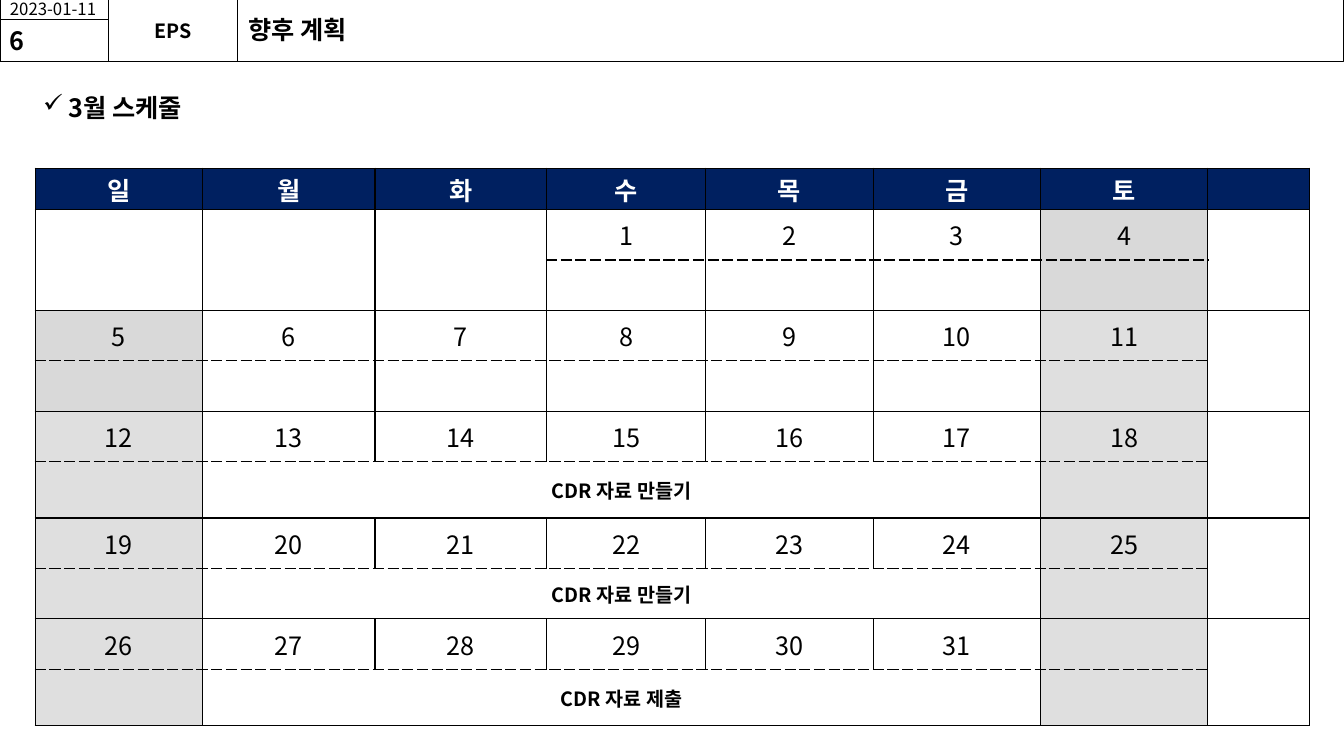
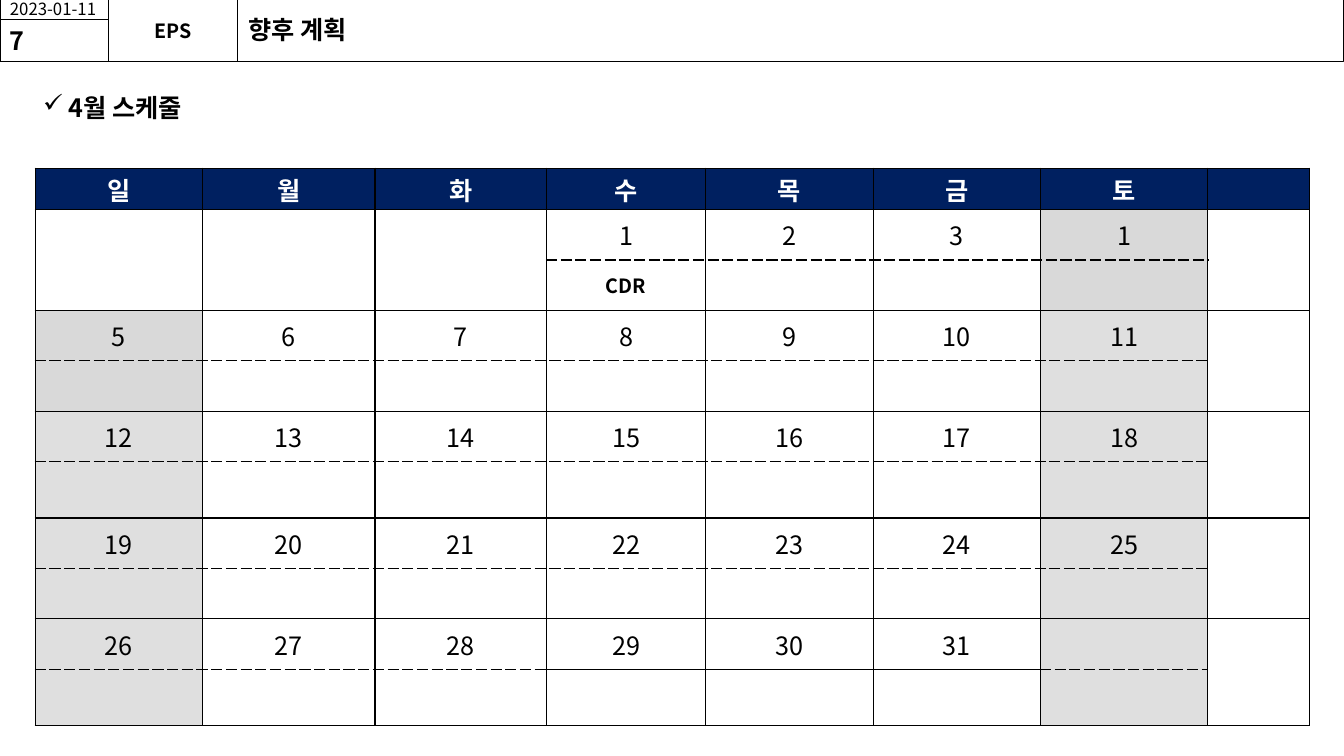
import pptx
import pptx.dml.color
import pptx.enum.shapes
import pptx.enum.text
import pptx.oxml
import pptx.oxml.ns
import pptx.util
from pptx.util import Inches

FONT = "Noto Sans CJK KR"
BLACK = "000000"
WHITE = "FFFFFF"
NAVY = "002060"
LIGHT_GRAY = "D9D9D9"
PALE_GRAY = "DFDFDF"

WEEKDAYS = ["일", "월", "화", "수", "목", "금", "토", ""]
SUNDAY, WEDNESDAY, SATURDAY, REMARKS = 0, 3, 6, 7
WEEK_COUNT = 5
LAST_DAY = 31
COLUMN_WIDTHS = [1.66, 1.71, 1.7, 1.58, 1.66, 1.66, 1.66, 1.01]
HEADER_HEIGHT = 0.41
DATE_HEIGHT = 0.5
NOTE_HEIGHTS = [0.5, 0.5, 0.56, 0.5, 0.56]


def color(value):
    return pptx.dml.color.RGBColor.from_string(value)


def place(shape, left, top, width, height):
    shape.left, shape.top = Inches(left), Inches(top)
    shape.width, shape.height = Inches(width), Inches(height)


def format_paragraph(paragraph, size, bold=False, centered=False, font_color=BLACK):
    alignments = pptx.enum.text.PP_ALIGN
    paragraph.alignment = alignments.CENTER if centered else alignments.LEFT
    font = paragraph.font
    font.name = FONT
    font.size = pptx.util.Pt(size)
    font.bold = bold
    font.color.rgb = color(font_color)
    east_asian = pptx.oxml.parse_xml(
        f'<a:ea {pptx.oxml.ns.nsdecls("a")} typeface="{FONT}"/>'
    )
    font._element.find(pptx.oxml.ns.qn("a:latin")).addnext(east_asian)


def add_header_box(slide, left, top, width, height, text="", size=18, bold=True, centered=False):
    shape = slide.shapes.add_shape(
        pptx.enum.shapes.MSO_SHAPE.RECTANGLE,
        Inches(left), Inches(top), Inches(width), Inches(height),
    )
    shape.shadow.inherit = False
    shape.fill.background()
    shape.line.color.rgb = color(BLACK)
    shape.line.width = pptx.util.Pt(0.75)
    if text:
        frame = shape.text_frame
        frame.text = text
        frame.word_wrap = True
        frame.vertical_anchor = pptx.enum.text.MSO_ANCHOR.MIDDLE
        frame.margin_right = 0
        if centered:
            frame.margin_left = 0
        format_paragraph(frame.paragraphs[0], size, bold, centered)


def add_header(slide, page_number):
    add_header_box(slide, 2.36, -0.01, 10.97, 0.62)
    add_header_box(slide, 0, -0.01, 1.08, 0.2, "2023-01-11", size=12, bold=False)
    add_header_box(slide, 1.08, -0.01, 1.28, 0.62, "EPS", size=14, centered=True)
    add_header_box(slide, 0, 0.19, 1.08, 0.42, page_number)
    title = slide.shapes.title
    place(title, 2.36, 0.09, 7.29, 0.4)
    frame = title.text_frame
    frame.text = "향후 계획"
    frame.auto_size = pptx.enum.text.MSO_AUTO_SIZE.NONE
    frame.vertical_anchor = pptx.enum.text.MSO_ANCHOR.MIDDLE
    format_paragraph(frame.paragraphs[0], 18, bold=True)


def add_checked_heading(slide, text):
    box = slide.shapes.add_textbox(Inches(0.33), Inches(0.9), Inches(11.92), Inches(0.45))
    frame = box.text_frame
    frame.word_wrap = True
    frame.text = text
    paragraph = frame.paragraphs[0]
    paragraph.line_spacing = 0.9
    properties = paragraph._p.get_or_add_pPr()
    properties.set("marL", str(Inches(0.25)))
    properties.set("indent", str(Inches(-0.25)))
    properties.append(pptx.oxml.parse_xml(
        f'<a:buChar {pptx.oxml.ns.nsdecls("a")} char="✓"/>'
    ))
    format_paragraph(paragraph, 18, bold=True)


def set_borders(cell, dashed_sides=""):
    properties = cell._tc.get_or_add_tcPr()
    for side in "LRTB":
        dash = "sysDash" if side in dashed_sides else "solid"
        properties.append(pptx.oxml.parse_xml(
            f'<a:ln{side} {pptx.oxml.ns.nsdecls("a")} w="{pptx.util.Pt(1)}">'
            f'<a:solidFill><a:srgbClr val="{BLACK}"/></a:solidFill>'
            f'<a:prstDash val="{dash}"/></a:ln{side}>'
        ))


def format_cell(cell, text, fill, size=18, bold=False, font_color=BLACK, dashed_sides=""):
    set_borders(cell, dashed_sides)
    cell.fill.solid()
    cell.fill.fore_color.rgb = color(fill)
    cell.margin_top = cell.margin_bottom = Inches(0.02)
    cell.vertical_anchor = pptx.enum.text.MSO_ANCHOR.MIDDLE
    cell.text = text
    format_paragraph(cell.text_frame.paragraphs[0], size, bold, True, font_color)


def day_fill(week, column):
    if (week, column) in [(0, SATURDAY), (1, SUNDAY)]:
        return LIGHT_GRAY
    if column == SATURDAY or (column == SUNDAY and week > 0):
        return PALE_GRAY
    return WHITE


def day_label(week, column):
    day = 7 * week + column - WEDNESDAY + 1
    return str(day) if column < REMARKS and 1 <= day <= LAST_DAY else ""


def add_calendar(slide, notes, replaced_labels, solid_days):
    row_heights = [HEADER_HEIGHT]
    for note_height in NOTE_HEIGHTS:
        row_heights += [DATE_HEIGHT, note_height]
    frame = slide.shapes.add_table(
        len(row_heights), len(COLUMN_WIDTHS), Inches(0.35), Inches(1.67),
        Inches(sum(COLUMN_WIDTHS)), Inches(sum(row_heights)),
    )
    table = frame.table
    table.first_row = table.horz_banding = False
    for column, width in zip(table.columns, COLUMN_WIDTHS):
        column.width = Inches(width)
    for row, height in zip(table.rows, row_heights):
        row.height = Inches(height)

    for column, weekday in enumerate(WEEKDAYS):
        format_cell(table.cell(0, column), weekday, NAVY, bold=True, font_color=WHITE)
    for week in range(WEEK_COUNT):
        date_row = 2 * week + 1
        for column in range(len(WEEKDAYS)):
            label = replaced_labels.get((week, column), day_label(week, column))
            undivided = column == REMARKS or (week == 0 and column < WEDNESDAY)
            solid = undivided or (week, column) in solid_days
            fill = day_fill(week, column)
            date_cell = table.cell(date_row, column)
            note_cell = table.cell(date_row + 1, column)
            format_cell(date_cell, label, fill, dashed_sides="" if solid else "B")
            format_cell(note_cell, notes.get((week, column), ("", 1))[0], fill,
                        size=14, bold=True, dashed_sides="" if solid else "T")
            if undivided:
                date_cell.merge(note_cell)
    for (week, column), (text, span) in notes.items():
        if span > 1:
            note_row = 2 * week + 2
            table.cell(note_row, column).merge(table.cell(note_row, column + span - 1))


def add_schedule_slide(presentation, page_number, heading, notes, replaced_labels=None, solid_days=()):
    slide = presentation.slides.add_slide(presentation.slide_layouts.get_by_name("Title Only"))
    add_header(slide, page_number)
    add_checked_heading(slide, heading)
    add_calendar(slide, notes, replaced_labels or {}, solid_days)


def main():
    presentation = pptx.Presentation()
    presentation.slide_width = Inches(13.33)
    presentation.slide_height = Inches(7.5)
    add_schedule_slide(presentation, "6", "3월 스케줄", {
        (2, 1): ("CDR 자료 만들기", 5),
        (3, 1): ("CDR 자료 만들기", 5),
        (4, 1): ("CDR 자료 제출", 5),
    })
    add_schedule_slide(
        presentation, "7", "4월 스케줄",
        notes={(0, WEDNESDAY): ("CDR", 1)},
        replaced_labels={(0, SATURDAY): "1"},
        solid_days=[(4, column) for column in range(WEDNESDAY, SATURDAY)],
    )
    presentation.save("out.pptx")


if __name__ == "__main__":
    main()
